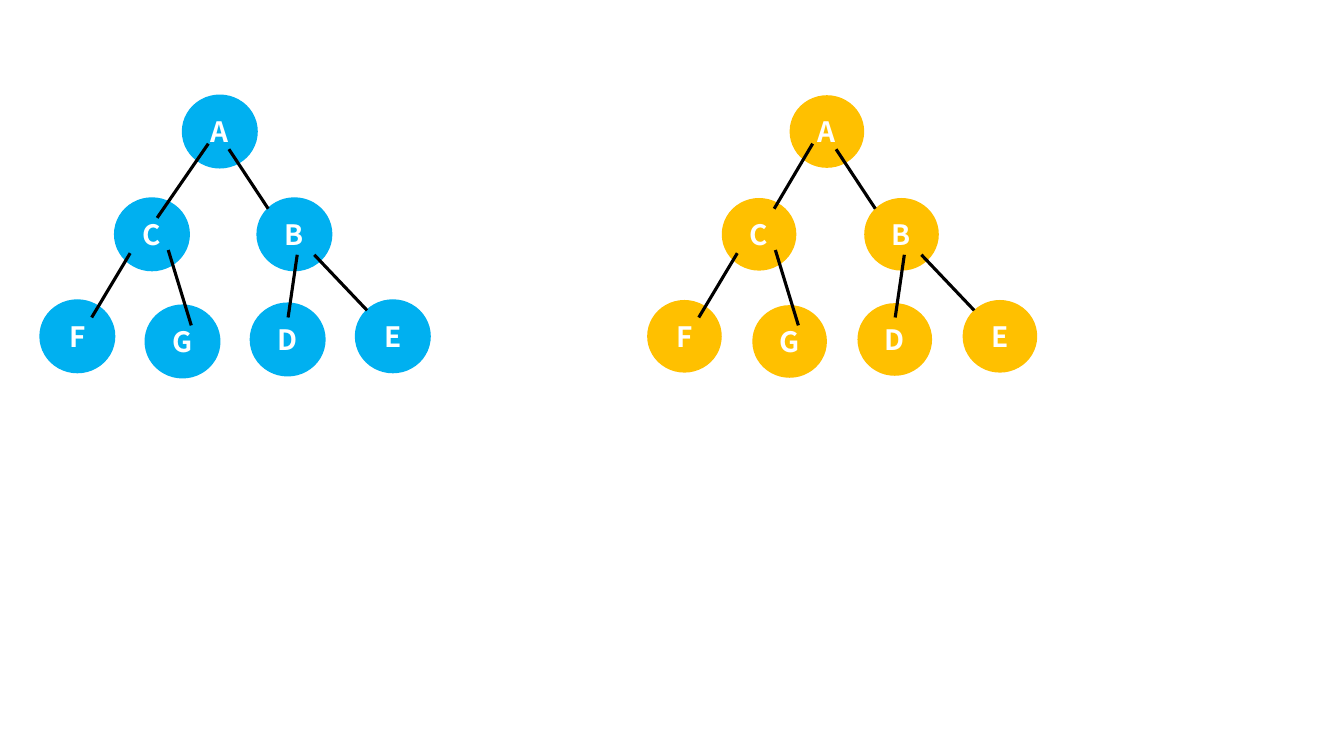
"""Draw two seven-node binary trees side by side, one blue and one amber."""
from lxml.etree import SubElement
from pptx import Presentation
from pptx.dml.color import RGBColor
from pptx.enum.shapes import MSO_CONNECTOR as Link, MSO_SHAPE as Shape
from pptx.enum.text import MSO_ANCHOR as Anchor, PP_ALIGN as Align
from pptx.oxml.ns import qn
from pptx.util import Cm, Pt

BLUE = RGBColor(0x00, 0xB0, 0xF0)
AMBER = RGBColor(0xFF, 0xC0, 0x00)
BLACK = RGBColor(0x00, 0x00, 0x00)
WHITE = RGBColor(0xFF, 0xFF, 0xFF)
FONT = "Noto Sans CJK SC"

NODES = [
    ("A", 4.6, 2.4),
    ("C", 2.89, 4.99),
    ("B", 6.48, 4.99),
    ("F", 1.01, 7.56),
    ("G", 3.66, 7.69),
    ("D", 6.31, 7.64),
    ("E", 8.96, 7.56),
]
EDGES = [
    (3.28, 6.38, 2.31, 8.0),
    (7.49, 6.42, 7.26, 8.0),
    (4.24, 6.3, 4.82, 8.2),
    (7.92, 6.42, 9.25, 7.82),
    (5.77, 3.76, 6.76, 5.26),
]
TREES = [
    (0, BLUE, True, (5.25, 3.62, 3.96, 5.49)),
    (15.3, AMBER, False, (5.18, 3.62, 4.21, 5.26)),
]

deck = Presentation()
deck.slide_width, deck.slide_height = Cm(33.87), Cm(19.05)
slide = deck.slides.add_slide(deck.slide_layouts[6])
shapes = slide.shapes

for shift, color, rimmed, left_edge in TREES:
    for label, x, y in NODES:
        node = shapes.add_shape(Shape.OVAL, Cm(x + shift), Cm(y), Cm(1.88), Cm(1.83))
        node.shadow.inherit = False
        node.fill.solid()
        node.fill.fore_color.rgb = color
        if rimmed:
            node.line.color.rgb = color
            node.line.width = Pt(1)
        else:
            node.line.fill.background()
        frame = node.text_frame
        frame.vertical_anchor = Anchor.MIDDLE
        para = frame.paragraphs[0]
        para.text = label
        para.alignment = Align.CENTER
        font = para.font
        font.name, font.size, font.bold = FONT, Pt(20), True
        font.color.rgb = WHITE

    for x1, y1, x2, y2 in [left_edge, *EDGES]:
        edge = shapes.add_connector(
            Link.STRAIGHT, Cm(x1 + shift), Cm(y1), Cm(x2 + shift), Cm(y2)
        )
        edge.line.color.rgb = BLACK
        edge.line.width = Pt(2.25)
        SubElement(edge._element.spPr, qn("a:effectLst"))

deck.save("out.pptx")
